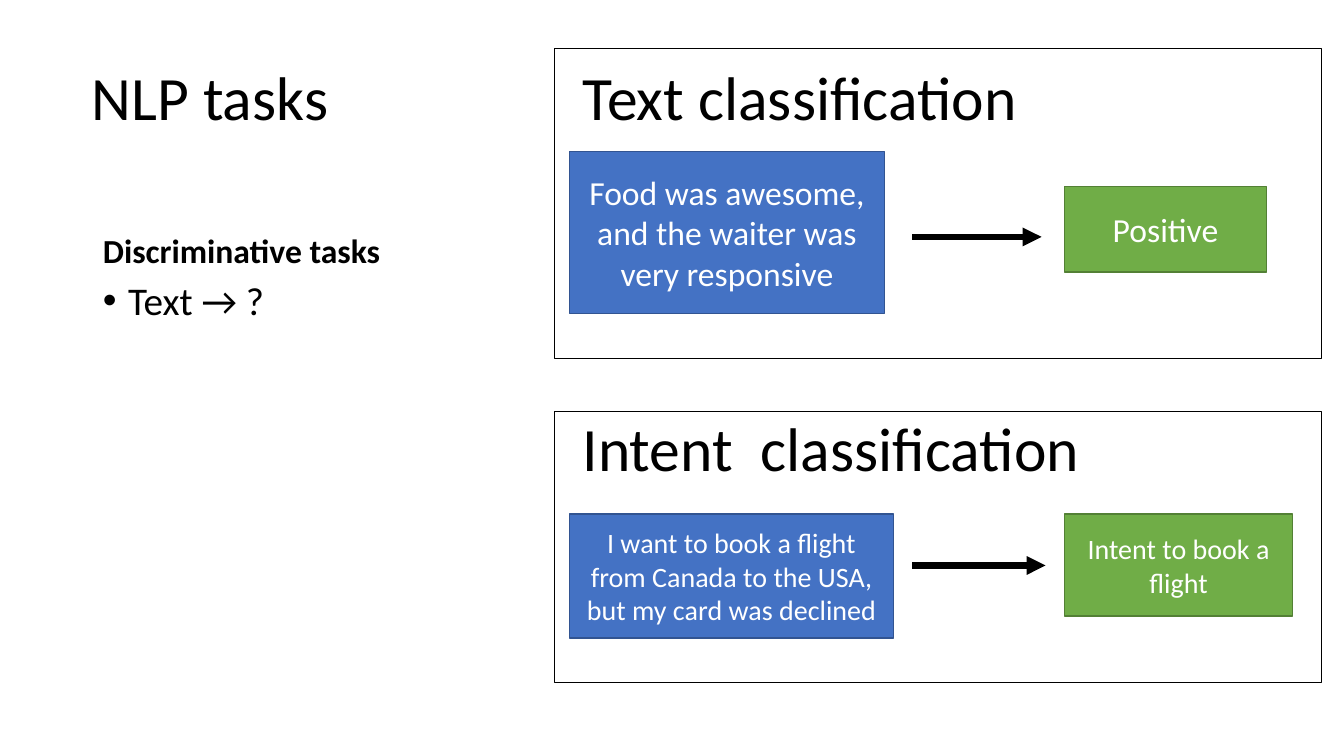
import pptx
import pptx.util
import pptx.dml.color
import pptx.enum.shapes
import pptx.enum.text
import pptx.oxml
import pptx.oxml.ns
from pptx.util import Inches

HUES = {"black": "000000", "white": "FFFFFF", "blue": "4472C4", "navy": "325491",
        "green": "70AD47", "moss": "538035"}
ALIGN = pptx.enum.text.PP_ALIGN
ANCHOR = pptx.enum.text.MSO_ANCHOR
RECT = pptx.enum.shapes.MSO_SHAPE.RECTANGLE


def hue(name):
    return pptx.dml.color.RGBColor.from_string(HUES[name])


def write(shape, text, size, color="black", bold=False, align=ALIGN.LEFT,
          anchor=ANCHOR.MIDDLE, space=0.9):
    frame = shape.text_frame
    frame.word_wrap = True
    frame.auto_size = pptx.enum.text.MSO_AUTO_SIZE.NONE
    frame.vertical_anchor = anchor
    para = frame.paragraphs[0]
    para.alignment = align
    para.line_spacing = space
    para.space_before = pptx.util.Pt(0)
    run = para.add_run()
    run.text = text
    run.font.name = "Calibri"
    run.font.size = pptx.util.Pt(size)
    run.font.bold = bold
    run.font.color.rgb = hue(color)


deck = pptx.Presentation()
deck.slide_width = Inches(13.33)
deck.slide_height = Inches(7.5)
slide = deck.slides.add_slide(deck.slide_layouts.get_by_name("Comparison"))
shapes = slide.shapes
title, label, body, *spare = slide.placeholders
for item in spare:
    item.element.getparent().remove(item.element)

for holder, box in [
    (title, (0.81, 0.27, 3.62, 1.45)),
    (label, (0.92, 1.84, 5.64, 0.9)),
    (body, (0.92, 2.74, 3.69, 4.03)),
]:
    holder.left, holder.top, holder.width, holder.height = map(Inches, box)

write(title, "NLP tasks", 44)
write(label, "Discriminative tasks", 24, bold=True, anchor=ANCHOR.BOTTOM)
props = body.text_frame.paragraphs[0]._p.get_or_add_pPr()
props.set("marL", str(Inches(0.25)))
props.set("indent", str(Inches(-0.25)))
space = pptx.oxml.ns.nsdecls("a")
props.append(pptx.oxml.parse_xml(f'<a:buFont {space} typeface="Arial"/>'))
props.append(pptx.oxml.parse_xml(f'<a:buChar {space} char="•"/>'))
write(body, "Text → ?", 28, anchor=ANCHOR.TOP)

tasks = [
    {"frame": (0.48, 3.08), "head": ("Text classification", 0.27, 1.45, 0.9), "size": 24,
     "input": ("Food was awesome, and the waiter was very responsive", 1.5, 3.12, 1.61),
     "label": ("Positive", 1.85, 2, 0.85), "arrow": (2.35, 10.33)},
    {"frame": (4.08, 2.69), "head": ("Intent  classification", 4.13, 0.74, 0.8), "size": 20,
     "input": ("I want to book a flight from Canada to the USA, but my card was declined",
               5.1, 3.21, 1.23),
     "label": ("Intent to book a flight", 5.1, 2.26, 1.01), "arrow": (5.61, 10.37)},
]

for task in tasks:
    top, height = task["frame"]
    for text, left, top, width, height, fill, edge, weight in [
        ("", 5.5, top, 7.61, height, "white", "black", 0.75),
        (task["input"][0], 5.65, *task["input"][1:], "blue", "navy", 1),
        (task["label"][0], 10.56, *task["label"][1:], "green", "moss", 1),
    ]:
        box = shapes.add_shape(RECT, *map(Inches, (left, top, width, height)))
        box.shadow.inherit = False
        box.fill.solid()
        box.fill.fore_color.rgb = hue(fill)
        box.line.color.rgb = hue(edge)
        box.line.width = pptx.util.Pt(weight)
        if text:
            write(box, text, task["size"], "white", align=ALIGN.CENTER, space=1.0)

    level, end = task["arrow"]
    arrow = shapes.add_connector(pptx.enum.shapes.MSO_CONNECTOR.STRAIGHT,
                                 *map(Inches, (9.05, level, end, level)))
    arrow.line.color.rgb = hue("black")
    arrow.line.width = pptx.util.Pt(4.5)
    arrow.line._get_or_add_ln().append(
        pptx.oxml.parse_xml(f'<a:tailEnd {space} type="triangle"/>'))
    arrow._element.spPr.append(pptx.oxml.parse_xml(f'<a:effectLst {space}/>'))

    text, top, height, lead = task["head"]
    head = shapes.add_textbox(*map(Inches, (5.68, top, 5.68, height)))
    write(head, text, 44, space=lead)

deck.save("out.pptx")
